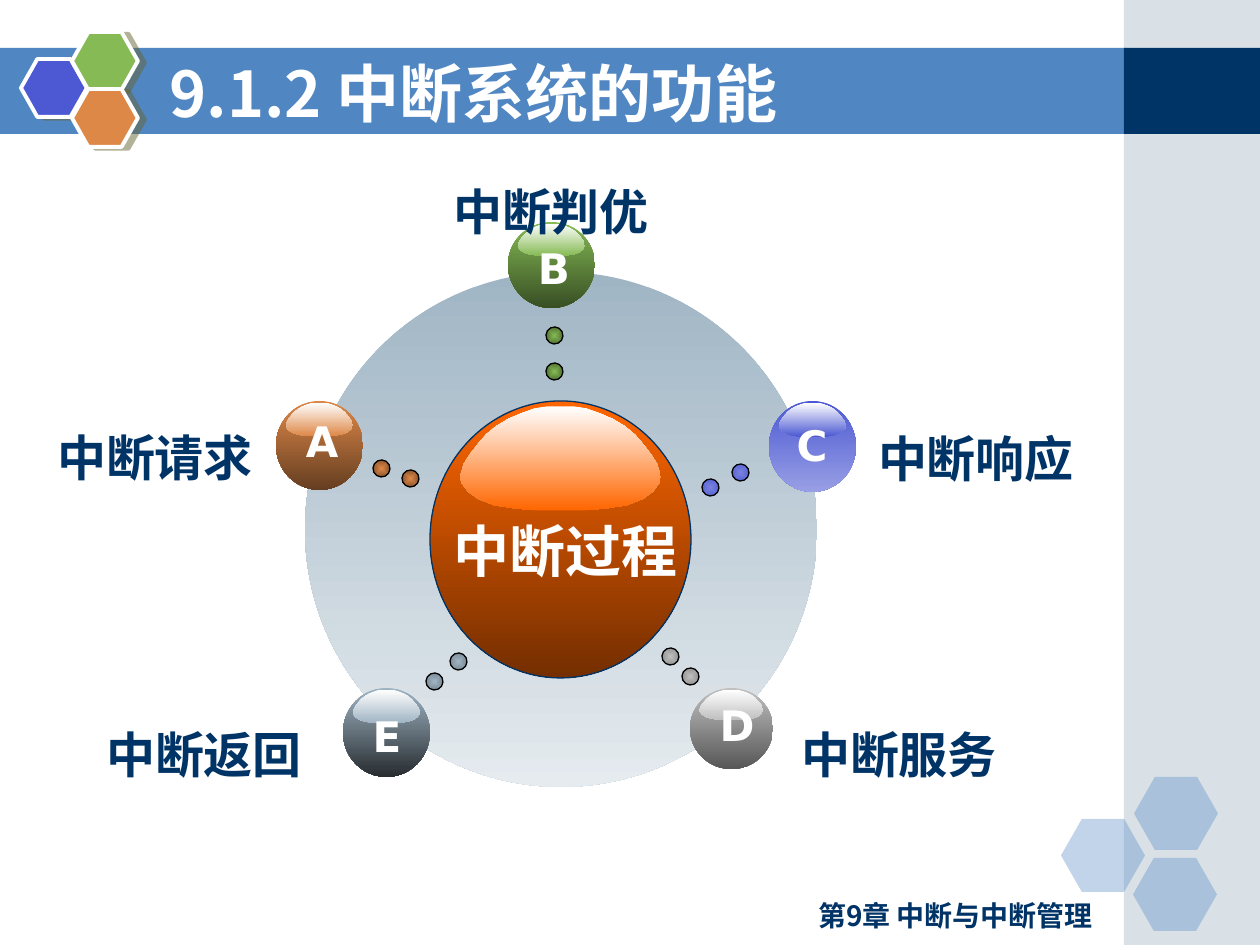
"""Build the slide on the functions of the interrupt system."""
import lxml.etree
import pptx
import pptx.dml.color
import pptx.enum.shapes
import pptx.enum.text
import pptx.oxml
import pptx.oxml.ns
import pptx.util

PX = 7257
SHAPE = pptx.enum.shapes.MSO_SHAPE
ALIGN = pptx.enum.text.PP_ALIGN
qn = pptx.oxml.ns.qn


class Theme:
    white, black, navy, band, steel = "FFFFFF", "000000", "003366", "5086C2", "A0B5C4"
    indigo, green, amber, orange, grey = "4C59D2", "85BA54", "DE8848", "FF6600", "C0C0C0"
    shadow = "666633"
    title, core, caption, letter, footer = 36, 32, 28, 24, 16
    sans, round, cjk = "Arial", "DejaVu Sans", "Noto Sans CJK SC"


def paint(sp, colours, line=None, width=0.75, alpha=None):
    sp.shadow.inherit = False
    if len(colours) == 1:
        sp.fill.solid()
        sp.fill.fore_color.rgb = pptx.dml.color.RGBColor.from_string(colours[0])
    else:
        sp.fill.gradient()
        sp.fill.gradient_angle = 270
        for stop, colour in zip(sp.fill.gradient_stops, colours):
            stop.color.rgb = pptx.dml.color.RGBColor.from_string(colour)
    if alpha:
        clr = sp._element.spPr.find(".//" + qn("a:srgbClr"))
        lxml.etree.SubElement(clr, qn("a:alpha"), val=str(alpha * 1000))
    if line:
        sp.line.color.rgb = pptx.dml.color.RGBColor.from_string(line)
        sp.line.width = pptx.util.Pt(width)
    else:
        sp.line.fill.background()


def write(sp, text, size, colour, font, align=ALIGN.CENTER):
    tf = sp.text_frame
    tf.word_wrap = True
    p = tf.paragraphs[0]
    p.text = text
    p.alignment = align
    p.font.size = pptx.util.Pt(size)
    p.font.bold = True
    p.font.name = font
    p.font.color.rgb = pptx.dml.color.RGBColor.from_string(colour)


prs = pptx.Presentation()
prs.slide_width, prs.slide_height = 1260 * PX, 945 * PX
s = prs.slides.add_slide(prs.slide_layouts[5])

panels = [
    ((0, 48, 1127, 86), Theme.band, None),
    ((1124, 0, 136, 945), Theme.steel, 40),
    ((1124, 48, 136, 86), Theme.navy, None),
]
for box, colour, alpha in panels:
    sp = s.shapes.add_shape(SHAPE.RECTANGLE, *[v * PX for v in box])
    paint(sp, [colour], alpha=alpha)

for x, y in [(1061, 819), (1134, 777), (1133, 858)]:
    sp = s.shapes.add_shape(SHAPE.HEXAGON, x * PX, y * PX, 84 * PX, 73 * PX)
    sp.adjustments[0] = 0.286
    paint(sp, [Theme.band], alpha=35)

for x, y, colour in [(21, 59, Theme.indigo), (72, 32, Theme.green), (72, 89, Theme.amber)]:
    sp = s.shapes.add_shape(SHAPE.HEXAGON, x * PX, y * PX, 66 * PX, 58 * PX)
    sp.adjustments[0] = 0.283
    paint(sp, [colour], Theme.white, 2.25)
    effects = sp._element.spPr.find(qn("a:effectLst"))
    shadow = lxml.etree.SubElement(
        effects, qn("a:outerShdw"), dist="52070", dir="840000", algn="ctr", rotWithShape="0")
    clr = lxml.etree.SubElement(shadow, qn("a:srgbClr"), val=Theme.shadow)
    lxml.etree.SubElement(clr, qn("a:alpha"), val="50000")

title = s.shapes.title
s.shapes._spTree.append(title._element)
title.left, title.top, title.width, title.height = [v * PX for v in (157, 53, 969, 78)]
title.text_frame.vertical_anchor = pptx.enum.text.MSO_ANCHOR.MIDDLE
write(title, "9.1.2 中断系统的功能", Theme.title, Theme.white, Theme.cjk, ALIGN.LEFT)

ring = s.shapes.add_shape(SHAPE.OVAL, *[v * PX for v in (305, 272, 512, 515)])
paint(ring, [Theme.steel, "E5EBEF"])

gloss_right = [
    (7, 0), (13, 2), (20, 7), (26, 12), (32, 19), (37, 27), (41, 36), (45, 46),
    (48, 55), (50, 68), (49, 74), (46, 82), (41, 89), (33, 95), (23, 98), (12, 100),
]
gloss = [(50 + x, y) for x, y in gloss_right] + [(50 - x, y) for x, y in gloss_right[::-1]]

core_style = (Theme.core, Theme.sans, Theme.navy)
ball_style = (Theme.letter, Theme.round, None)
balls = [
    ("中断过程", (430, 401, 261, 277), (438, 510, 255, 81), Theme.orange, "742E00", core_style),
    ("B", (508, 222, 87, 86), (514, 236, 80, 63), Theme.green, "384F24", ball_style),
    ("E", (343, 688, 87, 89), (347, 704, 80, 63), Theme.steel, "272C30", ball_style),
    ("C", (769, 401, 87, 91), (772, 413, 80, 63), Theme.indigo, "989FE5", ball_style),
    ("D", (690, 688, 83, 81), (697, 693, 80, 63), Theme.grey, "575757", ball_style),
    ("A", (276, 401, 87, 89), (282, 409, 80, 63), Theme.amber, "653E21", ball_style),
]
for text, box, label_box, colour, dark, (size, font, line) in balls:
    x, y, w, h = [v * PX for v in box]
    paint(s.shapes.add_shape(SHAPE.OVAL, x, y, w, h), [colour, dark], line)
    points = [
        (round(x + w * (0.115 + 0.77 * gx / 100)), round(y + h * (0.02 + 0.375 * gy / 100)))
        for gx, gy in gloss
    ]
    outline = s.shapes.build_freeform(*points[0])
    outline.add_line_segments(points[1:], close=True)
    paint(outline.convert_to_shape(), [Theme.white, colour])
    label = s.shapes.add_textbox(*[v * PX for v in label_box])
    write(label, text, size, Theme.white, font)

dots = [
    (Theme.steel, "6B7983", [(426, 673), (450, 653)]),
    (Theme.grey, "808080", [(682, 668), (662, 648)]),
    (Theme.amber, "6C4223", [(373, 460), (402, 470)]),
    (Theme.green, "3C5526", [(546, 327), (546, 363)]),
    ("7881DD", Theme.indigo, [(732, 464), (702, 479)]),
]
for colour, dark, places in dots:
    for x, y in places:
        sp = s.shapes.add_shape(SHAPE.OVAL, x * PX, y * PX, 17 * PX, 17 * PX)
        sp.rotation = 303.8
        paint(sp, [colour, dark], Theme.black)
        lin = sp._element.spPr.find(".//" + qn("a:lin"))
        radial = lxml.etree.Element(qn("a:path"), path="rect")
        lxml.etree.SubElement(
            radial, qn("a:fillToRect"), l="50000", t="50000", r="50000", b="50000")
        lin.getparent().replace(lin, radial)

captions = [
    ("中断请求", 34, 421), ("中断判优", 430, 175), ("中断响应", 855, 422),
    ("中断返回", 83, 718), ("中断服务", 778, 718),
]
for text, x, y in captions:
    caption = s.shapes.add_textbox(x * PX, y * PX, 242 * PX, 72 * PX)
    write(caption, text, Theme.caption, Theme.navy, Theme.sans)

footer = s.shapes.add_textbox(*[v * PX for v in (711, 892, 394, 51)])
write(footer, "第9章 中断与中断管理", Theme.footer, Theme.navy, Theme.cjk, ALIGN.RIGHT)

prs.save("out.pptx")
